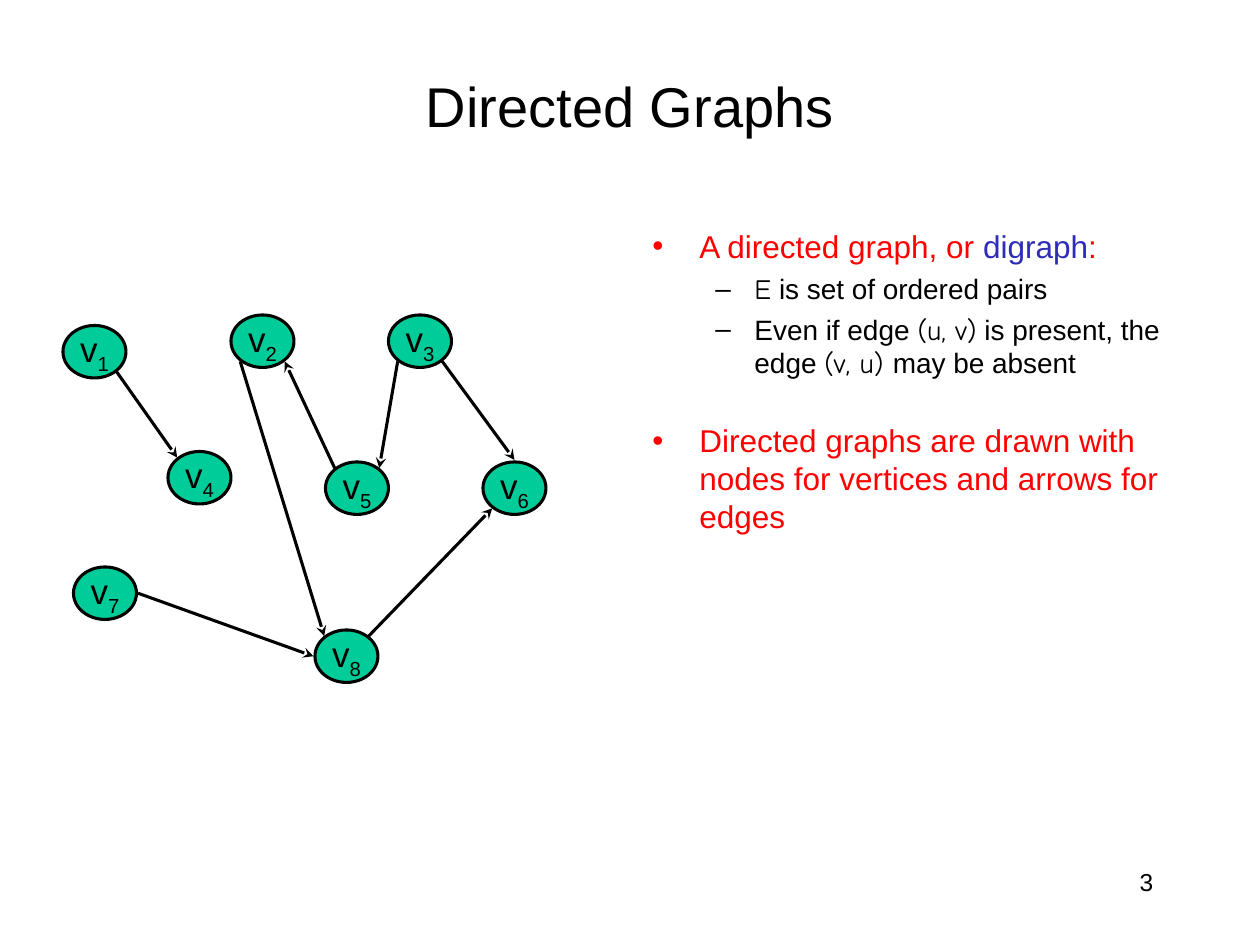
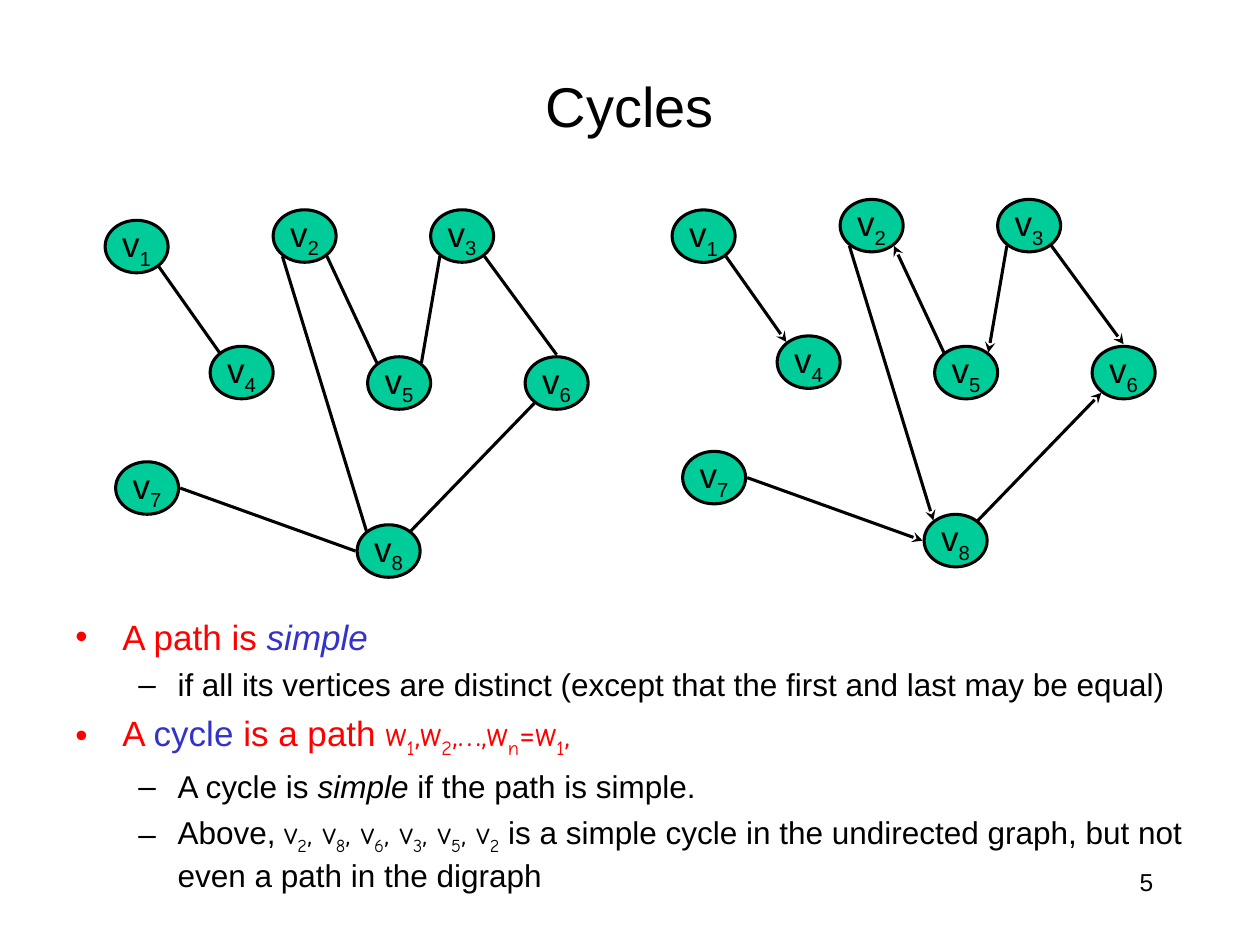
from lxml.etree import SubElement
from pptx import Presentation
from pptx.dml.color import RGBColor
from pptx.enum.shapes import MSO_CONNECTOR as Link, MSO_SHAPE as Form
from pptx.enum.text import MSO_ANCHOR as Anchor, PP_ALIGN as Align
from pptx.oxml.ns import qn
from pptx.util import Cm, Pt

# Shared style
BLACK, RED, GREEN = "000000", "FF0000", "00CC99"
NAVY, BLUE = "2D2DB9", "3333CC"
SANS, COMIC = "Arial", "Comic Neue"
BULLETS = [("•", RED, 0.95, 0.95), ("–", BLACK, 2.06, 0.79)]

# Graph on a grid of twelfths of an inch: left and top of each node
UNIT = 2.54 / 12
WIDE, HIGH = 6, 5
NODES = {1: (0, 1), 2: (16, 0), 5: (25, 14), 7: (1, 24),
         8: (24, 30), 3: (31, 0), 6: (40, 14), 4: (10, 13)}
# Offsets from a node's centre to the points where edges meet it
PORTS = {"tl": (-2.12, -1.92), "tr": (2.12, -1.92),
         "bl": (-2.12, 1.92), "br": (2.12, 1.92),
         "t": (0, -2.7), "l": (-3.15, 0), "r": (3.15, 0)}
EDGES = [(1, "br", 4, "tl"), (5, "tl", 2, "br"), (3, "bl", 5, "tr"),
         (8, "tr", 6, "bl"), (2, "bl", 8, "tl"), (3, "br", 6, "t"),
         (7, "r", 8, "l")]


def tint(code):
    return RGBColor.from_string(code)


class Deck:
    def __init__(self):
        self.file = Presentation()
        self.file.slide_width, self.file.slide_height = Cm(25.4), Cm(19.05)
        self.slide = None

    def page(self, title, number):
        self.slide = self.file.slides.add_slide(self.file.slide_layouts[6])
        self.label(title, (1.9, 1.06, 21.6, 2.12), 32, Align.CENTER, Anchor.MIDDLE)
        self.label(number, (18.2, 17.36, 5.3, 1.27), 14, Align.RIGHT, Anchor.TOP)

    def frame(self, box, anchor):
        frame = self.slide.shapes.add_textbox(*map(Cm, box)).text_frame
        frame.word_wrap = True
        frame.vertical_anchor = anchor
        return frame

    def style(self, para, size, color=BLACK):
        para.font.size, para.font.name = Pt(size), SANS
        para.font.color.rgb = tint(color)

    def label(self, text, box, size, align, anchor):
        para = self.frame(box, anchor).paragraphs[0]
        para.text, para.alignment = text, align
        self.style(para, size)

    def run(self, para, text, **look):
        """Add text in which the letter after each underscore is a subscript."""
        first, *rest = text.split("_")
        parts = [(first, False)]
        for part in rest:
            parts += [(part[0], True), (part[1:], False)]
        for words, low in parts:
            if not words:
                continue
            run = para.add_run()
            run.text = words
            if "font" in look:
                run.font.name = look["font"]
            if "color" in look:
                run.font.color.rgb = tint(look["color"])
            if "italic" in look:
                run.font.italic = look["italic"]
            if low:
                run.font._element.set("baseline", "-25000")

    def list(self, box, sizes, items):
        """Each item is a level, the space before it and its runs."""
        frame = self.frame(box, Anchor.TOP)
        for i, (level, space, runs) in enumerate(items):
            para = frame.add_paragraph() if i else frame.paragraphs[0]
            mark, color, left, hang = BULLETS[level]
            para.level = level
            if i:
                para.space_before = Pt(space)
            props = para._p.get_or_add_pPr()
            props.set("marL", str(Cm(left)))
            props.set("indent", str(-Cm(hang)))
            paint = SubElement(props, qn("a:buClr"))
            SubElement(paint, qn("a:srgbClr"), val=color)
            SubElement(props, qn("a:buFont"), typeface=SANS)
            SubElement(props, qn("a:buChar"), char=mark)
            self.style(para, sizes[level], color)
            for text, look in runs:
                self.run(para, text, **look)

    def node(self, group, name, x, y):
        oval = group.shapes.add_shape(
            Form.OVAL, Cm(x), Cm(y), Cm(WIDE * UNIT), Cm(HIGH * UNIT))
        oval.shadow.inherit = False
        oval.fill.solid()
        oval.fill.fore_color.rgb = tint(GREEN)
        oval.line.color.rgb, oval.line.width = tint(BLACK), Pt(1.75)
        frame = oval.text_frame
        frame.word_wrap = False
        frame.vertical_anchor = Anchor.MIDDLE
        para = frame.paragraphs[0]
        para.alignment = Align.CENTER
        self.style(para, 20)
        self.run(para, f"v_{name}", color=BLACK)

    def edge(self, group, start, end, arrow):
        line = group.shapes.add_connector(Link.STRAIGHT, *map(Cm, start + end))
        line.line.color.rgb, line.line.width = tint(BLACK), Pt(1.75)
        if arrow:
            SubElement(line.line._get_or_add_ln(), qn("a:tailEnd"), type="stealth")
        SubElement(line._element.spPr, qn("a:effectLst"))

    def graph(self, left, top, arrow):
        group = self.slide.shapes.add_group_shape()

        def port(name, side):
            (x, y), (dx, dy) = NODES[name], PORTS[side]
            return (left + (x + WIDE / 2 + dx) * UNIT,
                    top + (y + HIGH / 2 + dy) * UNIT)

        for name, (x, y) in NODES.items():
            self.node(group, name, left + x * UNIT, top + y * UNIT)
        for tail, out, head, into in EDGES:
            self.edge(group, port(tail, out), port(head, into), arrow)


def main():
    deck = Deck()
    plain, math, slant = {}, {"font": COMIC}, {"italic": True}

    # Directed graphs
    deck.page("Directed Graphs", "3")
    deck.graph(1.27, 6.35, True)
    deck.list((12.9, 4.45, 11.64, 12.57), (18, 16), [
        (0, 0, [("A directed graph, or ", plain), ("digraph", {"color": NAVY}),
                (":", plain)]),
        (1, 4, [("E", math), (" is set of ordered pairs", plain)]),
        (1, 4, [("Even if edge ", plain), ("(u, v)", math),
                (" is present, the edge ", plain), ("(v, u) ", math),
                ("may be absent", plain)]),
        (0, 24, [("Directed graphs are drawn with nodes for vertices "
                  "and arrows for edges", plain)]),
    ])

    # Cycles: undirected graph and digraph side by side
    deck.page("Cycles", "5")
    deck.list((1.27, 12.28, 22.86, 6.07), (20, 18), [
        (0, 0, [("A path is ", plain), ("simple", {"color": BLUE, "italic": True})]),
        (1, 4.5, [("if all its vertices are distinct "
                   "(except that the first and last may be equal)", plain)]),
        (0, 5, [("A ", plain), ("cycle", {"color": BLUE}), (" is a path ", plain),
                ("w_1,w_2,…,w_n=w_1,", math)]),
        (1, 4.5, [("A cycle is ", plain), ("simple", slant),
                  (" if the path is simple.", plain)]),
        (1, 4.5, [("Above, ", plain), ("v_2, v_8, v_6, v_3, v_5, v_2", math),
                  (" is a simple cycle in the undirected graph, "
                   "but not even a path in the digraph", plain)]),
    ])
    deck.graph(2.12, 4.23, False)
    deck.graph(13.55, 4.02, True)

    deck.file.save("out.pptx")


if __name__ == "__main__":
    main()
